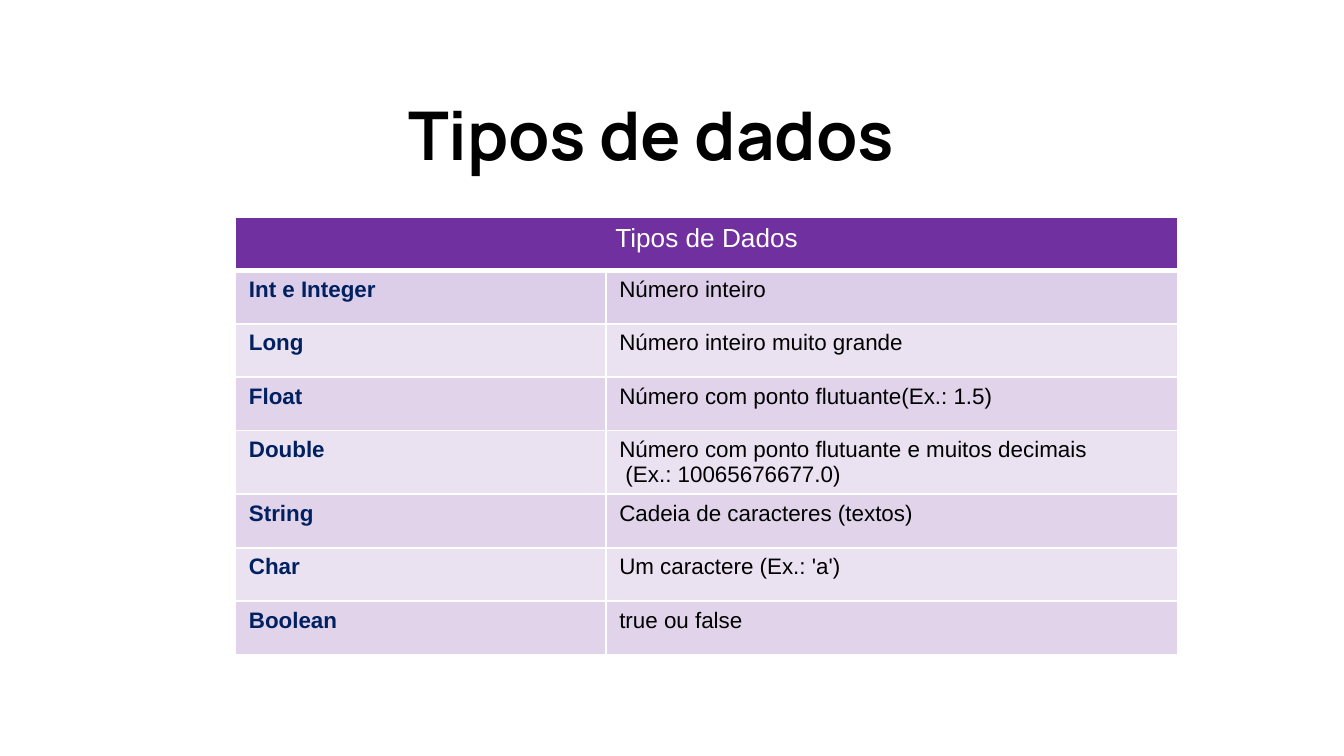
from dataclasses import dataclass

from lxml.etree import SubElement
from pptx import Presentation
from pptx.dml.color import RGBColor
from pptx.enum.text import MSO_ANCHOR, MSO_AUTO_SIZE, PP_ALIGN
from pptx.oxml.ns import qn
from pptx.util import Cm, Pt


@dataclass(frozen=True)
class Theme:
    heading_font: str = "Manrope"
    body_font: str = "Arial"
    purple: str = "7030A0"
    navy: str = "002060"
    black: str = "000000"
    white: str = "FFFFFF"
    title_size: int = 36
    header_size: int = 14
    body_size: int = 12
    thin: int = 1
    thick: int = 3
    first_tint: int = 24
    band_tints: tuple = (21, 14)


class SlideBuilder:
    """Adds styled elements to the current slide."""

    def __init__(self, slide, theme):
        self.slide = slide
        self.theme = theme

    def style(self, paragraph, font_name, size, color, bold=False):
        font = paragraph.font
        font.name, font.size, font.bold = font_name, Pt(size), bold
        font.color.rgb = RGBColor.from_string(color)

    def title(self, text, left, top, width, height):
        heading = self.slide.shapes.title
        heading.left, heading.top = Cm(left), Cm(top)
        heading.width, heading.height = Cm(width), Cm(height)
        frame = heading.text_frame
        frame.text = text
        frame.word_wrap = True
        frame.auto_size = MSO_AUTO_SIZE.NONE
        frame.vertical_anchor = MSO_ANCHOR.TOP
        frame.margin_left = frame.margin_right = Cm(0.25)
        frame.margin_top = frame.margin_bottom = Cm(0.25)
        paragraph = frame.paragraphs[0]
        paragraph.alignment = PP_ALIGN.CENTER
        self.style(paragraph, self.theme.heading_font, self.theme.title_size,
                   self.theme.black, True)

    def borders(self, cell, top, bottom):
        thin = self.theme.thin
        properties = cell._tc.get_or_add_tcPr()
        for side, width in (("L", thin), ("R", thin), ("T", top), ("B", bottom)):
            line = SubElement(properties, qn(f"a:ln{side}"), w=str(Pt(width)))
            fill = SubElement(line, qn("a:solidFill"))
            SubElement(fill, qn("a:srgbClr"), val=self.theme.white)

    def fill(self, cell, opacity):
        cell.fill.solid()
        cell.fill.fore_color.rgb = RGBColor.from_string(self.theme.purple)
        if opacity < 100:
            color = cell._tc.tcPr.find(f"{qn('a:solidFill')}/{qn('a:srgbClr')}")
            SubElement(color, qn("a:alpha"), val=str(opacity * 1000))

    def cell(self, cell, text, size, color, opacity, bold=False,
             align=PP_ALIGN.LEFT, top=1, bottom=1):
        self.borders(cell, top, bottom)
        self.fill(cell, opacity)
        cell.text = text
        for paragraph in cell.text_frame.paragraphs:
            paragraph.alignment = align
            self.style(paragraph, self.theme.body_font, size, color, bold)

    def type_table(self, header, types, left, top, widths, row_height):
        theme = self.theme
        count = len(types) + 1
        table = self.slide.shapes.add_table(
            count, len(widths), Cm(left), Cm(top),
            Cm(sum(widths)), Cm(row_height * count)).table
        table.first_row = table.horz_banding = False
        for column, width in zip(table.columns, widths):
            column.width = Cm(width)

        table.cell(0, 0).merge(table.cell(0, len(widths) - 1))
        self.cell(table.cell(0, 0), header, theme.header_size, theme.white, 100,
                  align=PP_ALIGN.CENTER, bottom=theme.thick)
        self.borders(table.cell(0, 1), theme.thin, theme.thick)

        for row, (name, meaning) in enumerate(types, start=1):
            first = row == 1
            opacity = theme.first_tint if first else theme.band_tints[(row + 1) % 2]
            edge = theme.thick if first else theme.thin
            self.cell(table.cell(row, 0), name, theme.body_size, theme.navy,
                      opacity, bold=True, top=edge)
            self.cell(table.cell(row, 1), meaning, theme.body_size, theme.black,
                      opacity, top=edge)
            if "\n" in meaning:
                table.rows[row].height = Cm(1.17)


TYPES = [
    ("Int e Integer", "Número inteiro"),
    ("Long", "Número inteiro muito grande"),
    ("Float", "Número com ponto flutuante(Ex.: 1.5)"),
    ("Double", "Número com ponto flutuante e muitos decimais\n (Ex.: 10065676677.0)"),
    ("String", "Cadeia de caracteres (textos)"),
    ("Char", "Um caractere (Ex.: 'a')"),
    ("Boolean", "true ou false"),
]


def main():
    deck = Presentation()
    deck.slide_width, deck.slide_height = Cm(25.4), Cm(14.29)
    builder = SlideBuilder(deck.slides.add_slide(deck.slide_layouts[5]), Theme())
    builder.type_table("Tipos de Dados", TYPES, 4.45, 4.1, (7, 10.81), 1.01)
    builder.title("Tipos de dados", 6.3, 1.52, 12, 1.63)
    deck.save("out.pptx")


if __name__ == "__main__":
    main()
